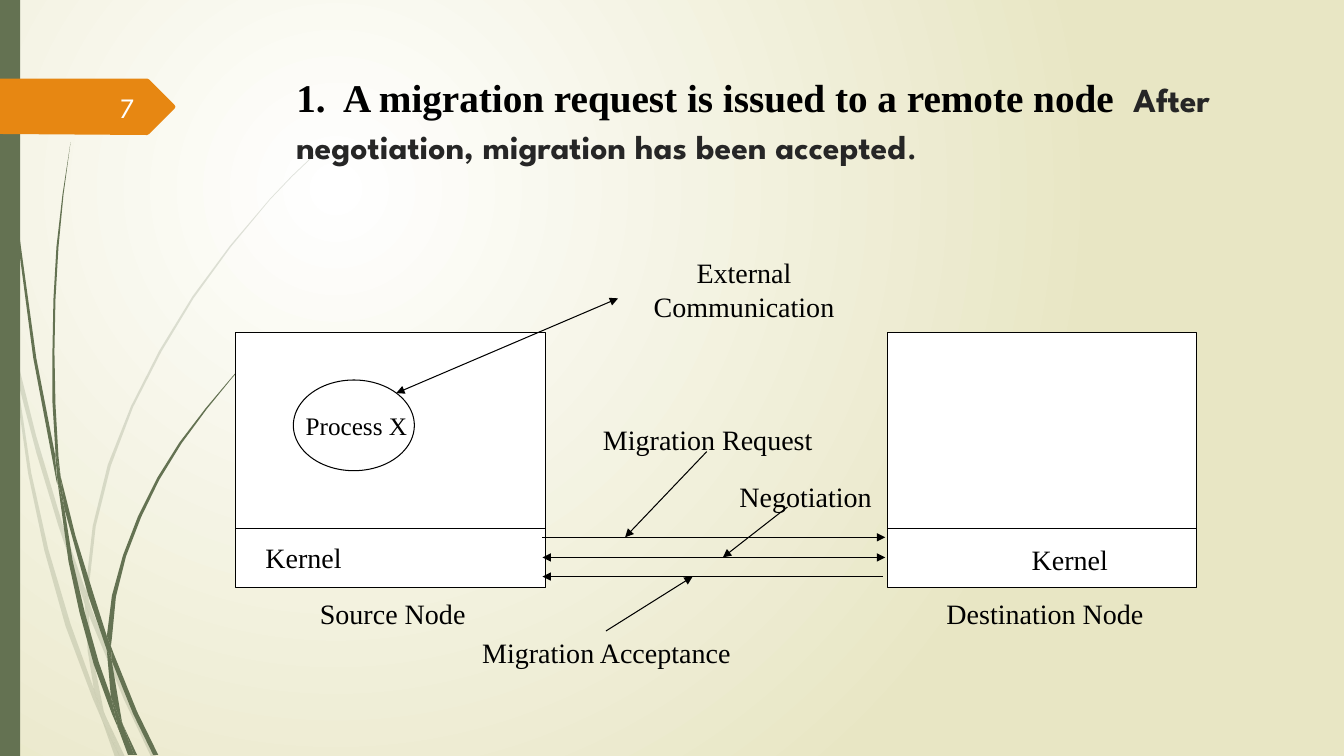
from dataclasses import dataclass

from lxml import etree
from pptx import Presentation
from pptx.dml.color import RGBColor
from pptx.enum.shapes import MSO_CONNECTOR, MSO_SHAPE
from pptx.enum.text import MSO_ANCHOR, PP_ALIGN
from pptx.oxml.ns import qn
from pptx.util import Pt

PX = 9144  # 100 px to the inch
RECTANGLE, OVAL = MSO_SHAPE.RECTANGLE, MSO_SHAPE.OVAL
STRAIGHT = MSO_CONNECTOR.STRAIGHT
LEFT, CENTER, RIGHT = PP_ALIGN.LEFT, PP_ALIGN.CENTER, PP_ALIGN.RIGHT
TOP, MIDDLE = MSO_ANCHOR.TOP, MSO_ANCHOR.MIDDLE


@dataclass(frozen=True)
class Theme:
    green: str = "647252"
    orange: str = "E78712"
    sand: str = "E8E6C4"
    white: str = "FFFFFF"
    number: str = "FEFFFF"
    ink: str = "000000"
    gray: str = "262626"
    serif: str = "Times New Roman"
    sans: str = "League Spartan"
    title_size: int = 28
    subtitle_size: int = 24
    label_size: int = 20
    process_size: int = 18
    line_width: float = 0.75
    faint_alpha: int = 20


THEME = Theme()

# Outlines of the grass blades, as x y pairs in px
FAINT_GRASS = (
    "11 350 9 322 0 282 0 299 10 344",
    "58 522 84 599 85 586 62 520 36 433 14 345 17 376 36 449",
    "92 607 88 596 88 610 123 694 150 751 155 751 127 692",
    "119 751 124 751 105 711",
    "93 683 70 619 48 545 31 469 17 376 11 350 28 470 44 546 65 621 92 693 101 714 99 707",
    "84 599 87 646 93 683 96 692 105 711 103 706 91 646 88 610 88 608",
    "88 584 95 522 110 462 132 404 160 349 192 296 229 245 268 198 290 175 312 154 "
    "312 153 289 175 268 197 228 244 191 294 158 348 130 403 107 461 92 522 85 584 "
    "85 586 88 596",
    "101 714 114 751 119 751",
    "88 608 88 610 88 596 85 586 84 599",
    "96 692 93 683 99 707 101 714 119 751 105 711",
)
DARK_GRASS = (
    "7 110 17 233 33 355 56 477 57 481 55 457 55 453 36 355 19 232 8 109 5 48 4 0 3 0 4 48",
    "88 592 106 645 106 633 106 631 93 590 75 532 60 472 64 505",
    "113 649 110 641 111 656 132 708 152 749 157 749 136 706",
    "110 691 98 657 84 607 72 556 64 505 57 477 68 557 79 608 93 659 111 708 117 722 116 717",
    "60 472 58 453 55 401 54 349 55 297 58 245 63 193 70 141 62 193 56 245 53 297 "
    "52 349 52 399 55 449",
    "133 749 136 749 122 719",
    "57 477 64 505 60 472 55 449 55 453",
    "111 633 115 592 125 552 140 513 158 476 180 440 205 406 231 374 245 359 261 344 "
    "260 344 245 358 231 373 204 405 178 439 156 474 137 512 122 551 111 591 106 631 "
    "110 641",
    "117 722 127 749 131 749",
    "106 645 110 691 116 706 122 719 121 716 111 656 109 651",
    "106 645 109 651 111 656 110 641 106 631 106 633",
    "116 706 110 691 116 717 117 722 130 749 133 749 122 719",
)
NUMBER_TAG = "173 108 148 133 146 134 0 133 0 78 146 78 148 79 173 104 174 106"

# Labels: text, left, top, width, height
LABELS = (
    ("Kernel", 234, 531, 134, 42),
    ("Kernel", 994, 533, 134, 42),
    ("Migration Request", 576, 414, 252, 57),
    ("Negotiation", 673, 471, 252, 40),
    ("Migration Acceptance", 451, 626, 301, 39),
    ("External Communication", 620, 249, 236, 68),
    ("Source Node", 239, 587, 301, 39),
    ("Destination Node", 886, 587, 301, 39),
)

# Arrows: start x, start y, end x, end y, ends that carry a head
ONE_WAY, TWO_WAY = ("tailEnd",), ("headEnd", "tailEnd")
ARROWS = (
    (538, 533, 878, 533, ONE_WAY),
    (876, 572, 538, 572, ONE_WAY),
    (538, 553, 878, 553, TWO_WAY),
    (701, 448, 620, 533, ONE_WAY),
    (781, 503, 717, 553, ONE_WAY),
    (601, 626, 687, 572, ONE_WAY),
    (613, 296, 393, 390, TWO_WAY),
)


def px(*lengths):
    return [length * PX for length in lengths]


def rgb(color):
    return RGBColor.from_string(color)


def set_background(slide):
    fill = slide.background.fill
    fill.gradient()
    for stop, color in zip(fill.gradient_stops, (THEME.white, THEME.sand)):
        stop.color.rgb = rgb(color)
    gradient = slide.element.find(".//" + qn("a:gradFill"))
    gradient.remove(gradient.find(qn("a:lin")))
    circle = etree.SubElement(gradient, qn("a:path"), path="circle")
    etree.SubElement(circle, qn("a:fillToRect"), l="50000", t="50000", r="100000", b="100000")


def paint(shape, fill, line=None):
    shape.shadow.inherit = False
    shape.fill.solid()
    shape.fill.fore_color.rgb = rgb(fill)
    if line:
        shape.line.color.rgb = rgb(line)
        shape.line.width = Pt(THEME.line_width)
    else:
        shape.line.fill.background()


def add_box(slide, kind, box, fill, line=None):
    paint(slide.shapes.add_shape(kind, *px(*box)), fill, line)


def add_outline(slide, outline, fill, alpha=100):
    numbers = [int(number) for number in outline.split()]
    points = list(zip(numbers[::2], numbers[1::2]))
    builder = slide.shapes.build_freeform(*points[0], scale=PX)
    builder.add_line_segments(points[1:], close=True)
    shape = builder.convert_to_shape()
    paint(shape, fill)
    if alpha < 100:
        color = shape.element.spPr.find(qn("a:solidFill"))[0]
        etree.SubElement(color, qn("a:alpha"), val=str(alpha * 1000))


def add_line(slide, start_x, start_y, end_x, end_y, heads=()):
    connector = slide.shapes.add_connector(STRAIGHT, *px(start_x, start_y, end_x, end_y))
    connector.line.color.rgb = rgb(THEME.ink)
    connector.line.width = Pt(THEME.line_width)
    properties = connector.element.spPr
    for head in heads:
        etree.SubElement(properties.find(qn("a:ln")), qn("a:" + head), type="triangle")
    etree.SubElement(properties, qn("a:effectLst"))


def add_text(slide, box, runs, alignment=CENTER, anchor=TOP):
    frame = slide.shapes.add_textbox(*px(*box)).text_frame
    frame.word_wrap = True
    frame.vertical_anchor = anchor
    paragraph = frame.paragraphs[0]
    paragraph.alignment = alignment
    for text, name, size, color, bold in runs:
        run = paragraph.add_run()
        run.text = text
        for key, value in {"name": name, "size": Pt(size), "bold": bold}.items():
            setattr(run.font, key, value)
        run.font.color.rgb = rgb(color)


def add_label(slide, text, *box, size=THEME.label_size):
    add_text(slide, box, [(text, THEME.serif, size, THEME.ink, False)])


def add_node(slide, left):
    add_box(slide, RECTANGLE, (left, 330, 307, 253), THEME.white, THEME.ink)
    add_line(slide, left, 524, left + 307, 524)


def main():
    presentation = Presentation()
    presentation.slide_width, presentation.slide_height = px(1333, 750)
    slide = presentation.slides.add_slide(presentation.slide_layouts[6])

    # Backdrop
    set_background(slide)
    for outline in FAINT_GRASS:
        add_outline(slide, outline, THEME.green, THEME.faint_alpha)
    for outline in DARK_GRASS:
        add_outline(slide, outline, THEME.green)
    add_box(slide, RECTANGLE, (0, 0, 20, 750), THEME.green)

    # Slide number and title
    add_outline(slide, NUMBER_TAG, THEME.orange)
    number = ("7", THEME.sans, THEME.label_size, THEME.number, False)
    add_text(slide, (58, 86, 85, 40), [number], RIGHT, MIDDLE)
    add_text(slide, (284, 68, 975, 140), [
        ("1.  A migration request is issued to a remote node  ",
         THEME.serif, THEME.title_size, THEME.ink, True),
        ("After negotiation, migration has been accepted",
         THEME.sans, THEME.subtitle_size, THEME.gray, True),
        (".", THEME.sans, THEME.title_size, THEME.gray, False),
    ], LEFT)

    # Migration diagram
    for left in (234, 880):
        add_node(slide, left)
    for arrow in ARROWS:
        add_line(slide, *arrow)
    add_box(slide, OVAL, (291, 377, 120, 90), THEME.white, THEME.ink)
    add_label(slide, "Process X", 287, 402, 133, 68, size=THEME.process_size)
    for label in LABELS:
        add_label(slide, *label)

    presentation.save("out.pptx")


if __name__ == "__main__":
    main()
